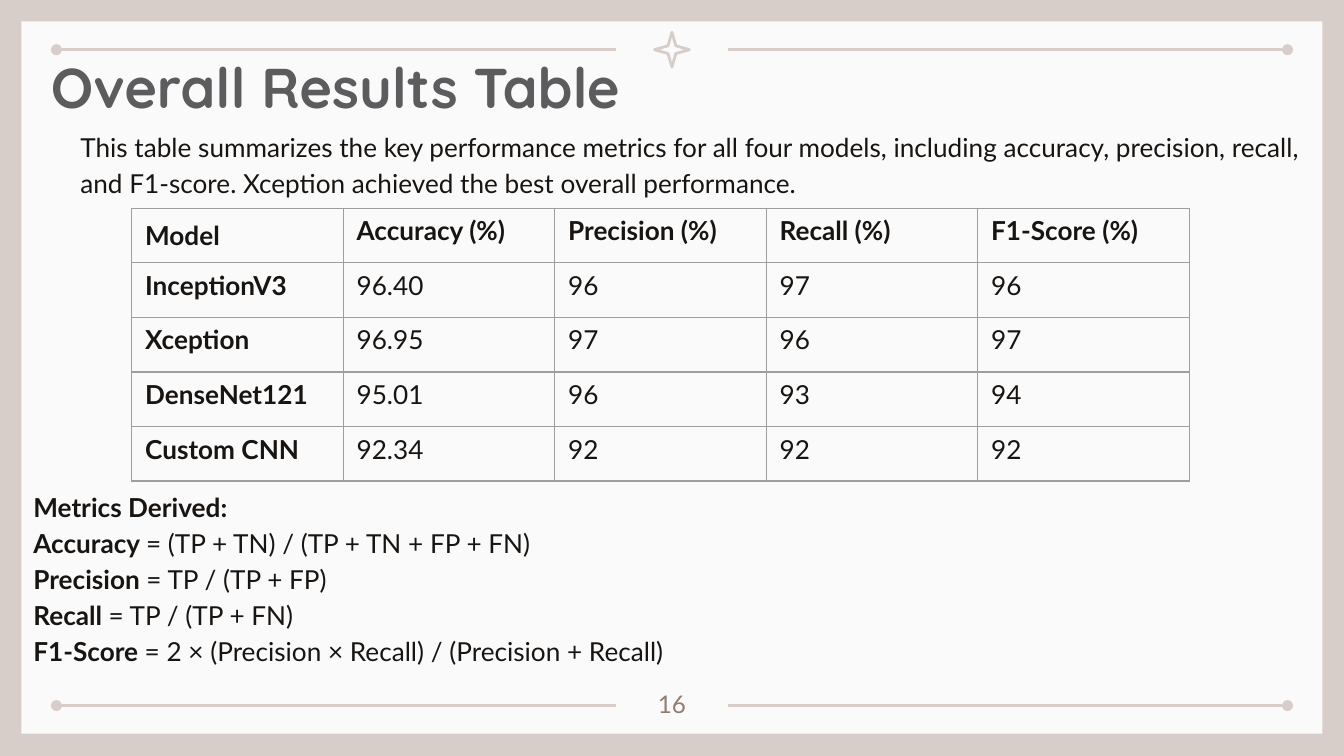
from dataclasses import dataclass
from itertools import product

from lxml.etree import SubElement
from pptx import Presentation
from pptx.dml.color import RGBColor
from pptx.enum.shapes import MSO_CONNECTOR as Connector, MSO_SHAPE as Shape
from pptx.enum.text import MSO_ANCHOR as Anchor, PP_ALIGN as Align
from pptx.oxml.ns import qn
from pptx.util import Inches, Pt


@dataclass(frozen=True)
class Theme:
    frame: RGBColor = RGBColor.from_string("D8CEC9")
    paper: RGBColor = RGBColor.from_string("FAFAFA")
    heading: RGBColor = RGBColor.from_string("5C5C5F")
    ink: RGBColor = RGBColor.from_string("181411")
    page: RGBColor = RGBColor.from_string("927C71")
    grid: str = "9E9E9E"
    grid_width: float = 0.75
    rule_width: float = 1.5
    heading_font: str = "Quicksand"
    body_font: str = "Lato"
    heading_size: int = 30
    body_size: int = 14
    page_size: int = 13
    line_spacing: float = 1.15


@dataclass(frozen=True)
class Box:
    left: float
    top: float
    width: float
    height: float

    def lengths(self):
        return tuple(map(Inches, (self.left, self.top, self.width, self.height)))


@dataclass(frozen=True)
class Rule:
    """A horizontal line with a dot at its outer end."""
    start: float
    end: float
    dot: str


@dataclass(frozen=True)
class Metric:
    name: str
    formula: str


THEME = Theme()
SLIDE_WIDTH = 10
SLIDE_HEIGHT = SLIDE_WIDTH * 9 / 16
RULES = (Rule(0.42, 4.58, "headEnd"), Rule(5.42, 9.58, "tailEnd"))
RULE_HEIGHTS = (0.37, 5.25)
INTRO = ("This table summarizes the key performance metrics for all four models, "
         "including accuracy, precision, recall, and F1-score. "
         "Xception achieved the best overall performance.")
RESULTS = (
    ("Model", "Accuracy (%)", "Precision (%)", "Recall (%)", "F1-Score (%)"),
    ("InceptionV3", "96.40", "96", "97", "96"),
    ("Xception", "96.95", "97", "96", "97"),
    ("DenseNet121", "95.01", "96", "93", "94"),
    ("Custom CNN", "92.34", "92", "92", "92"),
)
METRICS = (
    Metric("Accuracy", "(TP + TN) / (TP + TN + FP + FN)"),
    Metric("Precision", "TP / (TP + FP)"),
    Metric("Recall", "TP / (TP + FN)"),
    Metric("F1-Score", "2 × (Precision × Recall) / (Precision + Recall)"),
)


def add_run(paragraph, text: str, *, font=THEME.body_font, size=THEME.body_size,
            color=THEME.ink, bold=False) -> None:
    run = paragraph.add_run()
    run.text = text
    run.font.name = font
    run.font.size = Pt(size)
    run.font.color.rgb = color
    run.font.bold = bold


def add_text_frame(slide, box: Box):
    frame = slide.shapes.add_textbox(*box.lengths()).text_frame
    frame.word_wrap = True
    frame.margin_left = frame.margin_right = Inches(0.1)
    frame.margin_top = frame.margin_bottom = Inches(0.1)
    return frame


def add_text(slide, box: Box, text: str, *, align=Align.LEFT, spacing=1.0, **style) -> None:
    paragraph = add_text_frame(slide, box).paragraphs[0]
    paragraph.alignment = align
    paragraph.line_spacing = spacing
    add_run(paragraph, text, **style)


def add_rule(slide, rule: Rule, y: float) -> None:
    line = slide.shapes.add_connector(
        Connector.STRAIGHT, Inches(rule.start), Inches(y), Inches(rule.end), Inches(y))
    line.line.color.rgb = THEME.frame
    line.line.width = Pt(THEME.rule_width)
    properties = line._element.spPr
    SubElement(properties.find(qn("a:ln")), qn(f"a:{rule.dot}"), type="oval")
    SubElement(properties, qn("a:effectLst"))


def add_backdrop(slide) -> None:
    slide.background.fill.solid()
    slide.background.fill.fore_color.rgb = THEME.frame

    paper = slide.shapes.add_shape(Shape.RECTANGLE, *Box(0.16, 0.16, 9.68, 5.3).lengths())
    paper.shadow.inherit = False
    paper.fill.solid()
    paper.fill.fore_color.rgb = THEME.paper
    paper.line.fill.background()

    for y, rule in product(RULE_HEIGHTS, RULES):
        add_rule(slide, rule, y)

    star = slide.shapes.add_shape(Shape.STAR_4_POINT, *Box(4.87, 0.24, 0.26, 0.26).lengths())
    star.shadow.inherit = False
    star.adjustments[0] = 0.157
    star.fill.background()
    star.line.color.rgb = THEME.frame
    star.line.width = Pt(THEME.rule_width)


def add_borders(cell) -> None:
    properties = cell._tc.get_or_add_tcPr()
    for side in ("lnL", "lnR", "lnT", "lnB"):
        border = SubElement(properties, qn(f"a:{side}"), w=str(Pt(THEME.grid_width)))
        fill = SubElement(border, qn("a:solidFill"))
        SubElement(fill, qn("a:srgbClr"), val=THEME.grid)


def add_results(slide, box: Box) -> None:
    table = slide.shapes.add_table(len(RESULTS), len(RESULTS[0]), *box.lengths()).table
    table.first_row = table.horz_banding = False
    for r, row in enumerate(RESULTS):
        for c, value in enumerate(row):
            cell = table.cell(r, c)
            cell.margin_left = cell.margin_right = Inches(0.1)
            cell.margin_top = cell.margin_bottom = Inches(0.05)
            cell.vertical_anchor = Anchor.MIDDLE if r == c == 0 else Anchor.TOP
            add_borders(cell)
            cell.fill.background()
            add_run(cell.text_frame.paragraphs[0], value, bold=r == 0 or c == 0)


def add_metrics(slide, box: Box) -> None:
    frame = add_text_frame(slide, box)
    add_run(frame.paragraphs[0], "Metrics Derived:", bold=True)
    for metric in METRICS:
        definition = frame.add_paragraph()
        add_run(definition, f"{metric.name} ", bold=True)
        add_run(definition, f"= {metric.formula}")
    for paragraph in frame.paragraphs:
        paragraph.line_spacing = THEME.line_spacing


def main() -> None:
    deck = Presentation()
    deck.slide_width, deck.slide_height = Inches(SLIDE_WIDTH), Inches(SLIDE_HEIGHT)
    slide = deck.slides.add_slide(deck.slide_layouts[6])

    add_backdrop(slide)
    add_text(slide, Box(0.28, 0.29, 8.98, 0.63), "Overall Results Table",
             font=THEME.heading_font, size=THEME.heading_size, color=THEME.heading, bold=True)
    add_text(slide, Box(0.5, 0.84, 9.5, 0.74), INTRO, spacing=THEME.line_spacing)
    add_metrics(slide, Box(0.15, 3.52, 9.7, 1.54))
    add_text(slide, Box(4.7, 5.03, 0.6, 0.36), "16", align=Align.CENTER,
             size=THEME.page_size, color=THEME.page)
    add_results(slide, Box(0.98, 1.55, 7.87, 2.03))
    deck.save("out.pptx")


if __name__ == "__main__":
    main()
